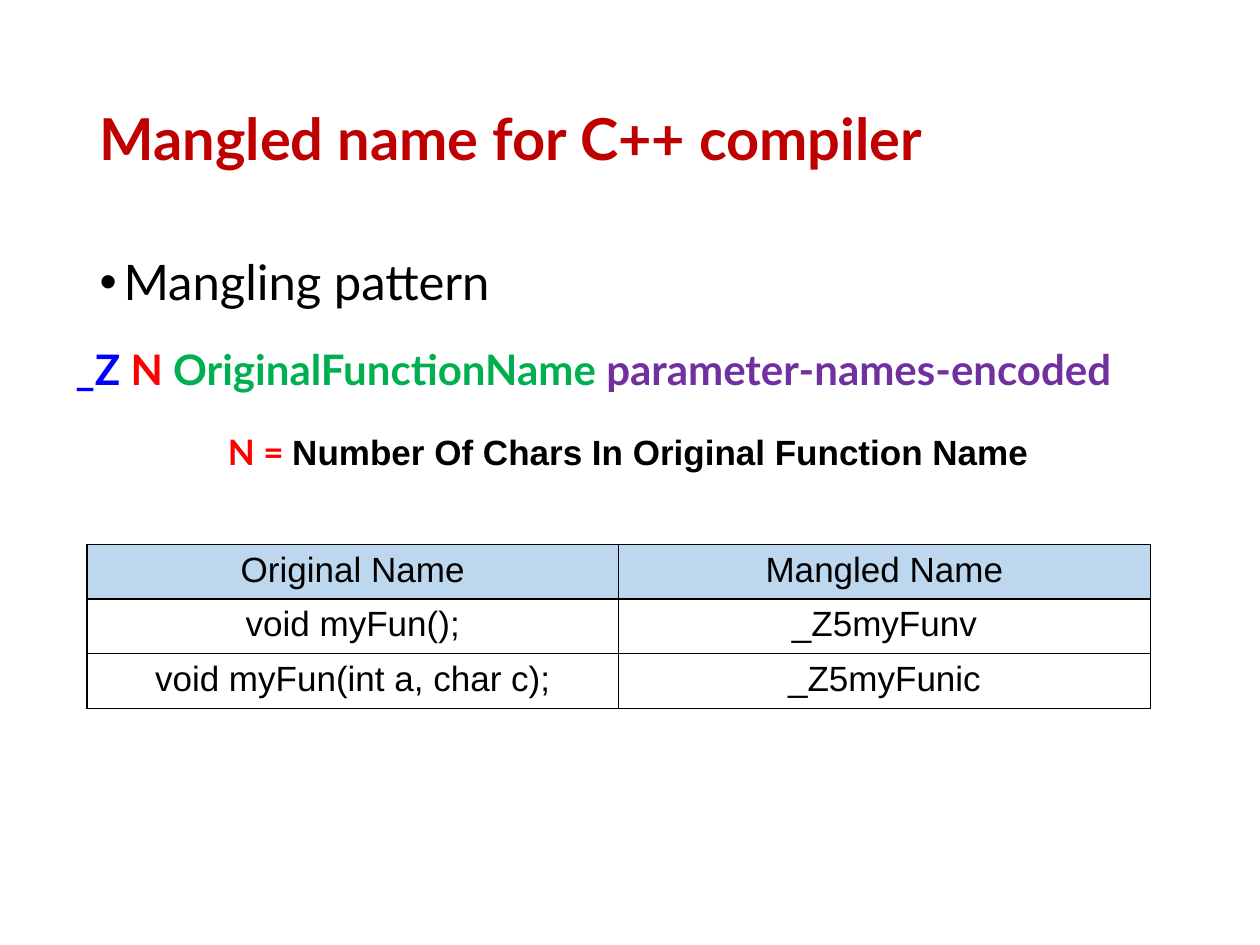
from lxml import etree
from pptx import Presentation
from pptx.dml.color import RGBColor
from pptx.enum import text as t
from pptx.oxml.ns import qn
from pptx.util import Inches, Pt

BLACK, RED = "000000", "FF0000"
TITLE = [("Mangled name for C++ compiler", "Lato", "C00000")]
TOPIC = [("Mangling pattern", "Lato", BLACK)]
PATTERN = [
    ("_Z ", "Lato", "0000FF"),
    ("N ", "Lato", RED),
    ("OriginalFunctionName ", "Lato", "00B050"),
    ("parameter-names-encoded", "Lato", "7030A0"),
]
LEGEND = [
    ("N = ", "Lato", RED),
    ("Number Of Chars In Original Function Name", "Arial", BLACK),
]
EXAMPLES = [
    ("Original Name", "Mangled Name"),
    ("void myFun();", "_Z5myFunv"),
    ("void myFun(int a, char c);", "_Z5myFunic"),
]
HEADER_FILL = "BDD7EE"


def color(hex_code):
    """Turn a hex string into a colour."""
    return RGBColor.from_string(hex_code)


def write(paragraph, pieces, size, bold=False):
    """Add (text, font, colour) pieces to a paragraph as runs."""
    for words, face, hex_code in pieces:
        run = paragraph.add_run()
        run.text = words
        run.font.name, run.font.size, run.font.bold = face, Pt(size), bold
        run.font.color.rgb = color(hex_code)


def place(shape, left, top, width, height):
    """Set the frame of a shape in inches."""
    shape.left, shape.top = Inches(left), Inches(top)
    shape.width, shape.height = Inches(width), Inches(height)


def add_line(slide, box, pieces, size, wrap):
    """Add one bold line of text in its own text box."""
    frame = slide.shapes.add_textbox(*map(Inches, box)).text_frame
    frame.word_wrap = wrap
    frame.auto_size = t.MSO_AUTO_SIZE.SHAPE_TO_FIT_TEXT
    write(frame.paragraphs[0], pieces, size, bold=True)


def add_borders(cell):
    """Draw a thin black line on all four sides of a cell."""
    properties = cell._tc.get_or_add_tcPr()
    for side in ("lnL", "lnR", "lnT", "lnB"):
        line = etree.SubElement(properties, qn(f"a:{side}"), w=str(Pt(1)))
        fill = etree.SubElement(line, qn("a:solidFill"))
        etree.SubElement(fill, qn("a:srgbClr"), val=BLACK)


def add_examples(slide, left, top, width, height):
    """Add the table of original and mangled names."""
    box = map(Inches, (left, top, width, height))
    table = slide.shapes.add_table(len(EXAMPLES), len(EXAMPLES[0]), *box).table
    for r, names in enumerate(EXAMPLES):
        for c, name in enumerate(names):
            cell = table.cell(r, c)
            add_borders(cell)
            if r == 0:
                cell.fill.solid()
                cell.fill.fore_color.rgb = color(HEADER_FILL)
            else:
                cell.fill.background()
            paragraph = cell.text_frame.paragraphs[0]
            paragraph.alignment = t.PP_ALIGN.CENTER
            write(paragraph, [(name, "Arial", BLACK)], 20)


prs = Presentation()
prs.slide_width, prs.slide_height = Inches(10), Inches(7.5)
slide = prs.slides.add_slide(prs.slide_layouts[1])

title, topic = slide.shapes.title, slide.placeholders[1]
place(title, 0.69, 0.4, 8.62, 1.45)
place(topic, 0.69, 2, 8.62, 0.54)
for holder, pieces, size, bold in ((title, TITLE, 33, True), (topic, TOPIC, 28, False)):
    holder.text_frame.auto_size = t.MSO_AUTO_SIZE.NONE
    paragraph = holder.text_frame.paragraphs[0]
    paragraph.alignment = t.PP_ALIGN.LEFT
    paragraph.line_spacing = 0.9
    write(paragraph, pieces, size, bold)
title.text_frame.vertical_anchor = t.MSO_ANCHOR.MIDDLE

bullet = topic.text_frame.paragraphs[0]
bullet.space_before = Pt(7.5)
indent = bullet._p.get_or_add_pPr()
indent.set("marL", str(Inches(0.19)))
indent.set("indent", str(Inches(-0.19)))
etree.SubElement(indent, qn("a:buFont"), typeface="Arial")
etree.SubElement(indent, qn("a:buChar"), char="•")

add_line(slide, (0.5, 2.68, 9, 0.5), PATTERN, 24, wrap=True)
add_line(slide, (1.71, 3.37, 6.58, 0.44), LEGEND, 20, wrap=False)
add_examples(slide, 0.69, 4.32, 8.44, 1.3)

prs.save("out.pptx")
